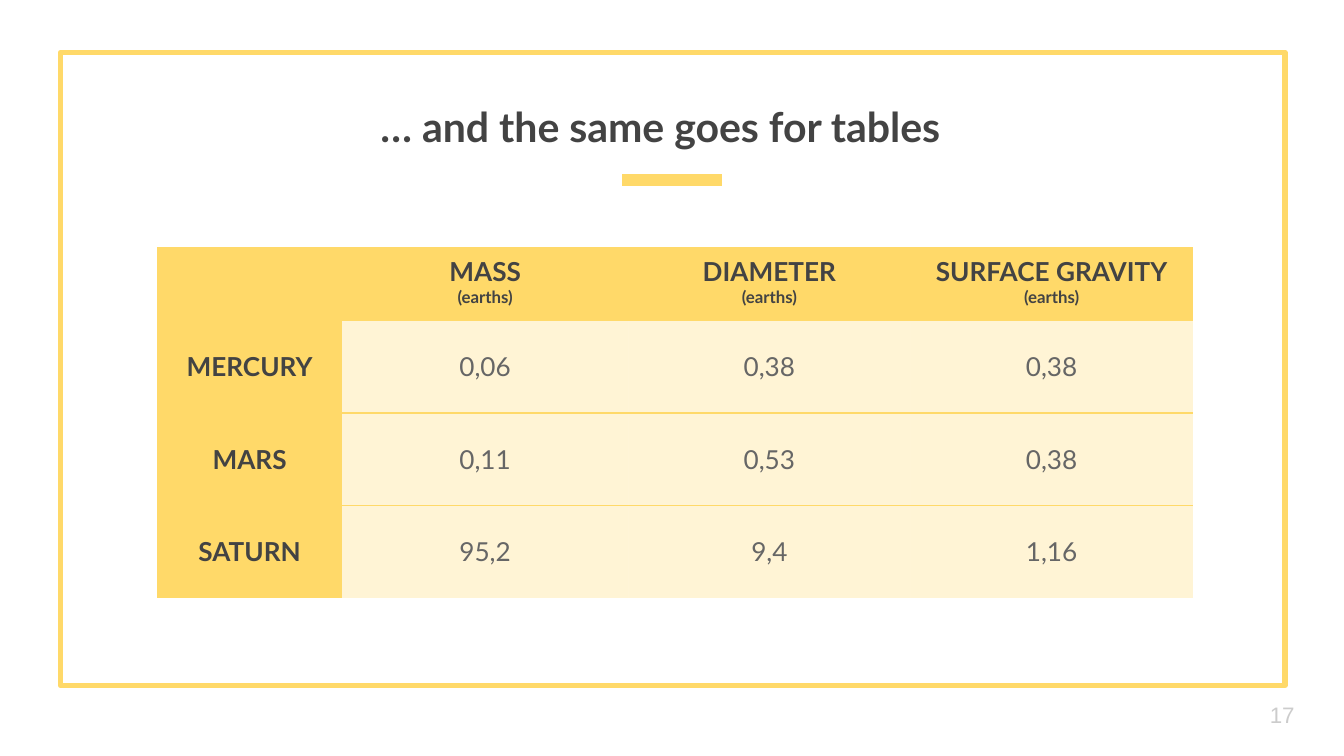
from lxml.etree import SubElement
from pptx import Presentation
from pptx.dml.color import RGBColor
from pptx.enum.shapes import MSO_CONNECTOR as Connector, MSO_SHAPE as Shape
from pptx.enum.text import MSO_ANCHOR as Anchor, PP_ALIGN as Align
from pptx.oxml import parse_xml
from pptx.oxml.ns import nsdecls, qn
from pptx.util import Inches, Pt

COLORS = {"accent": "FFD969", "dark": "434343", "body": "666666", "faint": "CCCCCC"}
COLUMNS, ROWS = 100, 56.25
PLAIN_TABLE = "{2D5ABB26-0587-4C30-8999-92F81FD0307C}"
TITLE_ONLY = 5


def grid(*units):
    return [Inches(unit / 10) for unit in units]


def rgb(name):
    return RGBColor.from_string(COLORS[name])


class Deck:
    font = "Lato"

    def __init__(self):
        self.prs = Presentation()
        self.prs.slide_width, self.prs.slide_height = grid(COLUMNS, ROWS)
        self.slide = self.prs.slides.add_slide(self.prs.slide_layouts[TITLE_ONLY])

    def set_text(self, frame, lines, color, bold=False, align=Align.CENTER, font=font):
        for index, (text, size) in enumerate(lines):
            paragraph = frame.add_paragraph() if index else frame.paragraphs[0]
            paragraph.text = text
            paragraph.alignment = align
            style = paragraph.font
            style.name, style.size, style.bold = font, Pt(size), bold
            style.color.rgb = rgb(color)

    def frame(self, left, top, width, height):
        border = self.slide.shapes.add_shape(Shape.RECTANGLE, *grid(left, top, width, height))
        border.shadow.inherit = False
        border.fill.background()
        border.line.color.rgb = rgb("accent")
        border.line.width = Pt(3)

    def rule(self, left, right, top):
        bar = self.slide.shapes.add_connector(Connector.STRAIGHT, *grid(left, top, right, top))
        bar.line.color.rgb = rgb("accent")
        bar.line.width = Pt(6)
        SubElement(bar._element.spPr, qn("a:effectLst"))

    def title(self, text, left, top, width, height):
        heading = self.slide.shapes.title
        heading.left, heading.top, heading.width, heading.height = grid(left, top, width, height)
        self.inset(heading.text_frame, Anchor.BOTTOM)
        self.set_text(heading.text_frame, [(text, 22)], "dark", bold=True)

    def page_number(self, text, left, top, width, height):
        box = self.slide.shapes.add_textbox(*grid(left, top, width, height))
        self.inset(box.text_frame, Anchor.MIDDLE)
        self.set_text(box.text_frame, [(text, 12)], "faint", align=Align.LEFT, font="Arial")

    def inset(self, frame, anchor):
        frame.word_wrap = True
        frame.vertical_anchor = anchor
        frame.margin_left = frame.margin_right = Inches(0.1)
        frame.margin_top = frame.margin_bottom = Inches(0.1)

    def table(self, rows, left, top, widths, heights):
        place = grid(left, top, sum(widths), sum(heights))
        table = self.slide.shapes.add_table(len(heights), len(widths), *place).table
        table._tbl.tblPr.find(qn("a:tableStyleId")).text = PLAIN_TABLE
        table.horz_banding = False
        for column, width in zip(table.columns, grid(*widths)):
            column.width = width
        for row, height in zip(table.rows, grid(*heights)):
            row.height = height
        last = len(rows) - 1
        for r, row in enumerate(rows):
            for c, lines in enumerate(row):
                label = r == 0 or c == 0
                self.cell(table.cell(r, c), lines, label)
                table.cell(r, c).vertical_anchor = Anchor.MIDDLE if r else Anchor.TOP
                if not label:
                    sides = ["lnT"] * (r > 1) + ["lnB"] * (r < last)
                    self.cell_borders(table.cell(r, c), sides)

    def cell(self, cell, lines, label):
        cell.margin_left = cell.margin_right = Inches(0.1)
        cell.margin_top = cell.margin_bottom = Inches(0.07)
        cell.fill.solid()
        cell.fill.fore_color.rgb = rgb("accent")
        if not label:
            tint = cell._tc.tcPr.find(".//" + qn("a:srgbClr"))
            SubElement(tint, qn("a:alpha"), val="28000")
        self.set_text(cell.text_frame, lines, "dark" if label else "body", bold=label)

    def cell_borders(self, cell, sides):
        for index, side in enumerate(sides):
            line = parse_xml(
                f'<a:{side} {nsdecls("a")} w="{Pt(0.75)}"><a:solidFill>'
                f'<a:srgbClr val="{COLORS["accent"]}"/></a:solidFill></a:{side}>'
            )
            cell._tc.tcPr.insert(index, line)


def main():
    measures = ["MASS", "DIAMETER", "SURFACE GRAVITY"]
    planets = [
        ("MERCURY", "0,06", "0,38", "0,38"),
        ("MARS", "0,11", "0,53", "0,38"),
        ("SATURN", "95,2", "9,4", "1,16"),
    ]
    header = [[]] + [[(name, 14), ("(earths)", 9)] for name in measures]
    body = [[[(value, 14)] for value in planet] for planet in planets]

    deck = Deck()
    deck.frame(4.5, 3.9, 91.1, 47.1)
    deck.rule(46.3, 53.7, 13.4)
    deck.table([header] + body, 11.7, 18.35, [13.75, 21.3, 21, 21], [5.5] + [6.88] * 3)
    deck.title("… and the same goes for tables", 12.9, 6.2, 72.5, 6)
    deck.page_number("17", 93.5, 51, 6, 4.3)
    deck.prs.save("out.pptx")


if __name__ == "__main__":
    main()
